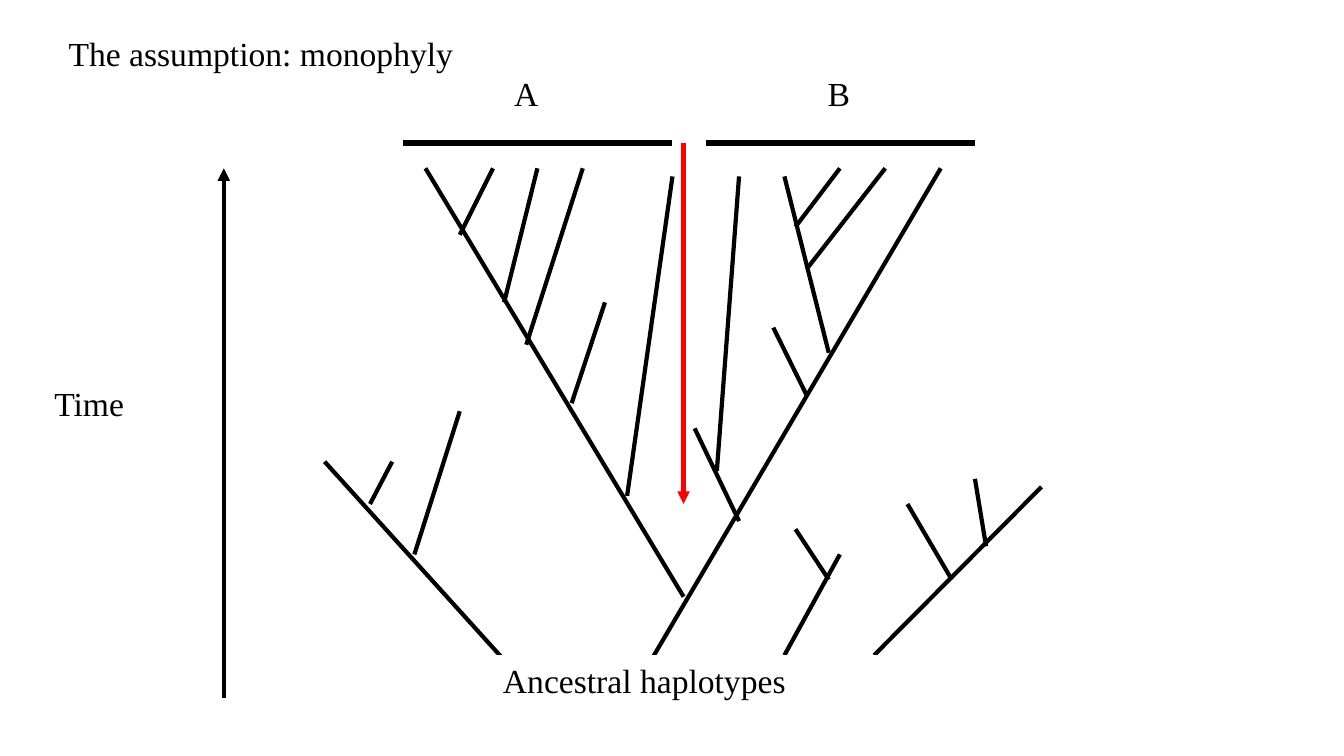
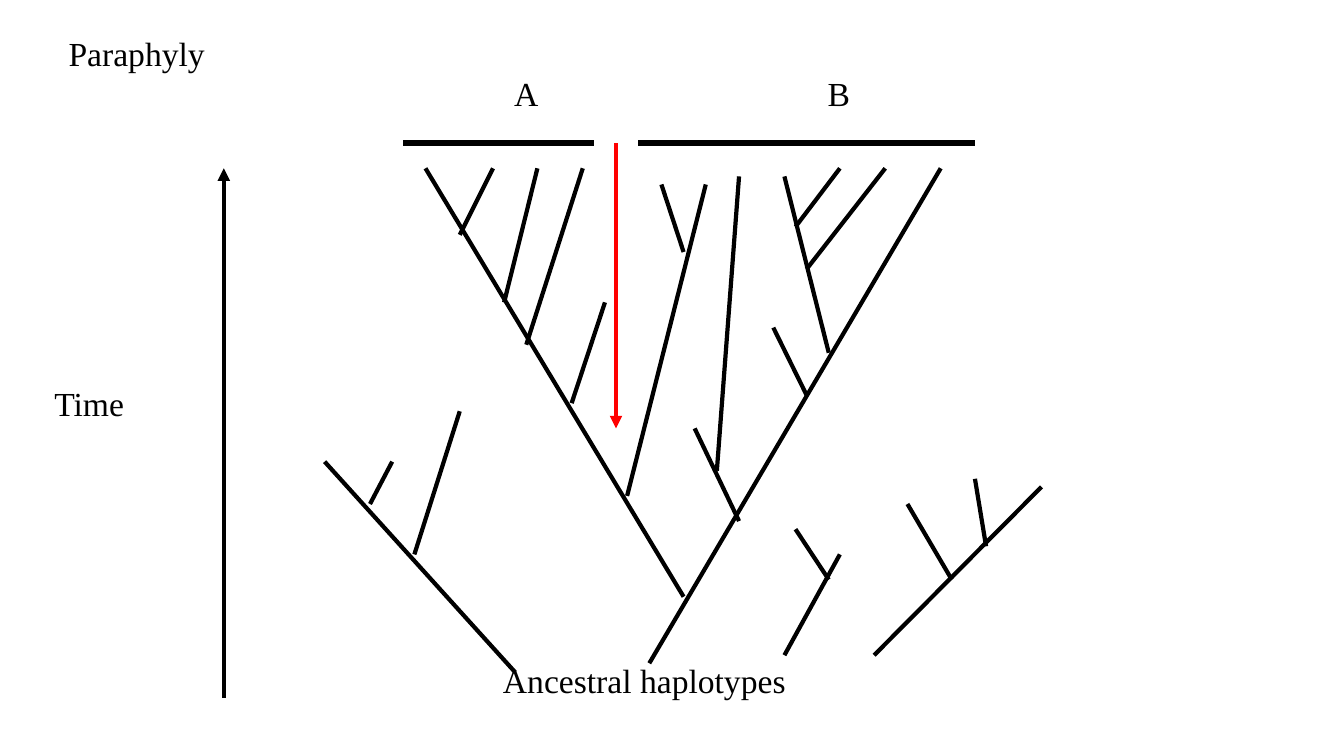
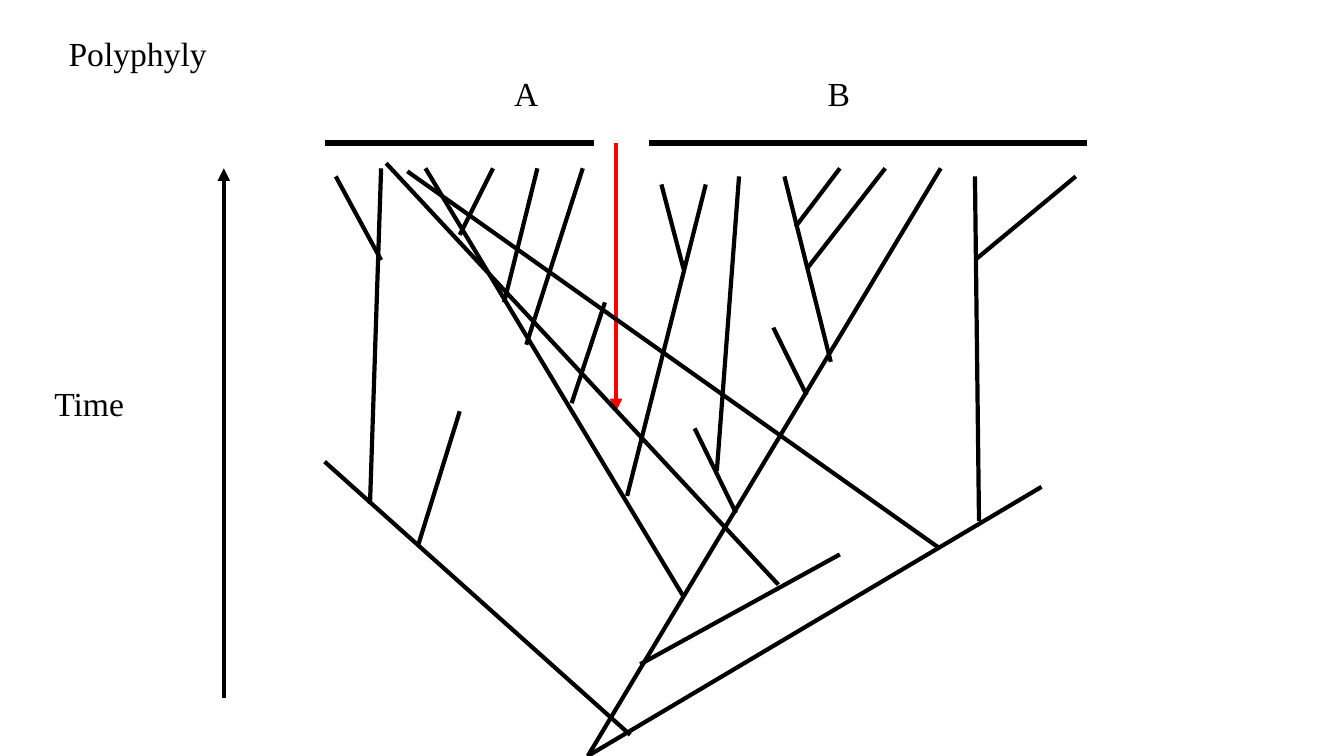
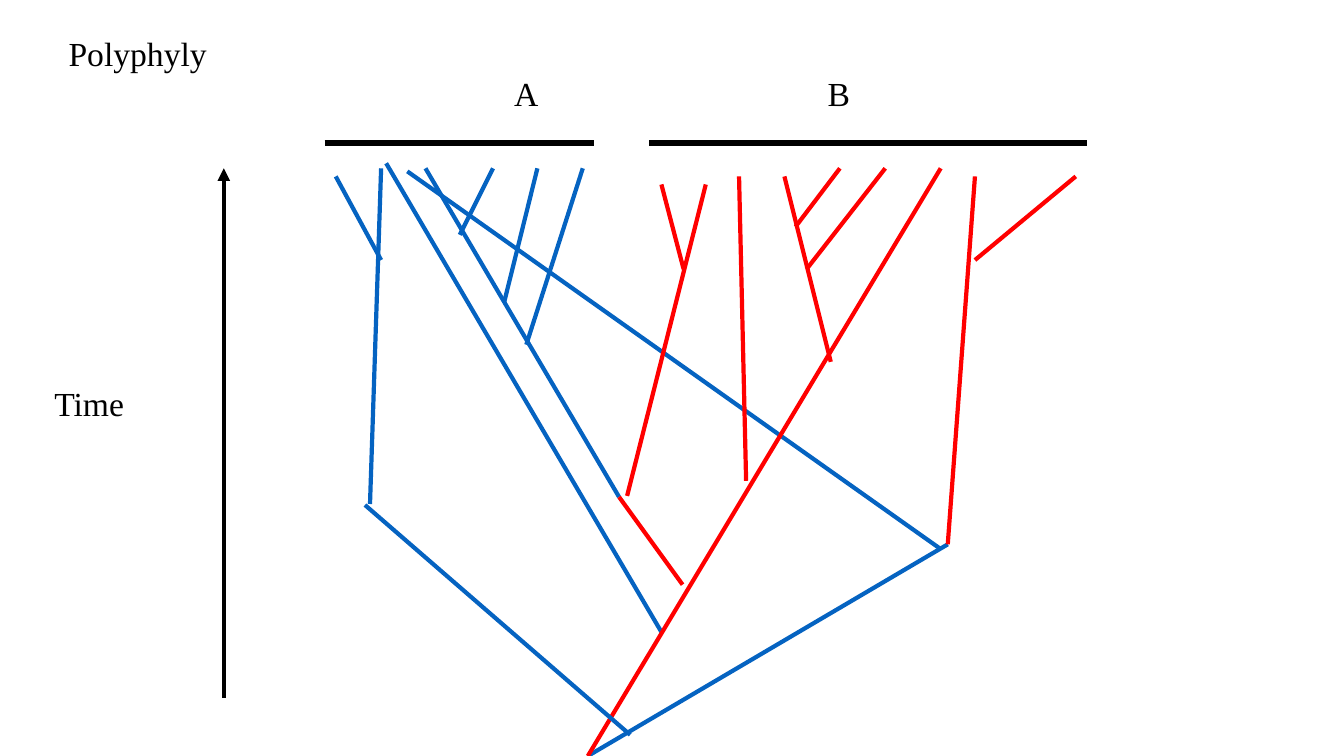
from dataclasses import dataclass

from lxml.etree import SubElement
from pptx import Presentation
from pptx.dml.color import RGBColor
from pptx.enum.shapes import MSO_CONNECTOR as Connector
from pptx.enum.text import MSO_ANCHOR as Anchor, MSO_AUTO_SIZE as AutoSize, PP_ALIGN as Align
from pptx.oxml.ns import qn
from pptx.util import Pt

PX = 9144
TITLE_ONLY = 5


@dataclass(frozen=True)
class Theme:
    font: str = "Times New Roman"
    text_size: int = 24
    branch_width: float = 3
    bar_width: float = 4.5
    black: RGBColor = RGBColor(0x00, 0x00, 0x00)
    white: RGBColor = RGBColor(0xFF, 0xFF, 0xFF)
    red: RGBColor = RGBColor(0xFF, 0x00, 0x00)
    blue: RGBColor = RGBColor(0x05, 0x63, 0xC1)


THEME = Theme()

SLIDE_SIZE = (1333, 750)
TITLE_BOX = (58, 28, 544, 50)
LABELS = [
    ("Time", (44, 375, 144, 50)),
    ("A", (500, 67, 67, 50)),
    ("B", (811, 67, 56, 50)),
]
CAPTION = ("Ancestral haplotypes", (489, 650, 400, 50))
TIME_ARROW = (222, 692, 222, 167)
BAR_TOP = 142

CROWN_A = [(522, 342, 578, 167), (500, 300, 533, 167), (456, 233, 489, 167)]
CROWN_B = [(789, 225, 833, 167), (800, 267, 878, 167)]
INNER = [
    (678, 592, 422, 167),
    (711, 467, 733, 175),
    (567, 400, 600, 300),
    (800, 392, 767, 325),
]
SEPARATE_ROOTS = [
    (867, 650, 1033, 483),
    (944, 575, 900, 500),
    (978, 542, 967, 475),
    (778, 650, 833, 550),
    (822, 575, 789, 525),
    (644, 658, 933, 167),
    (733, 517, 689, 425),
    (822, 350, 778, 175),
    (511, 667, 322, 458),
    (367, 500, 389, 458),
    (411, 550, 456, 408),
]
CROSSING = (622, 492, 700, 183)
MIXED_A = [(932, 544, 404, 170), (367, 500, 378, 167), (378, 258, 333, 175)]
MIXED_B = [
    CROSSING,
    (583, 750, 933, 167),
    (824, 359, 778, 175),
    (678, 267, 656, 183),
    (967, 258, 1067, 175),
]
SHARED_ROOT = [
    (583, 750, 1033, 483),
    (971, 517, 967, 175),
    (635, 659, 833, 550),
    (772, 580, 383, 162),
    (730, 509, 689, 425),
    (625, 729, 322, 458),
    (415, 540, 456, 408),
]
BLUE_ONLY = [(583, 750, 940, 540), (656, 627, 383, 162), (614, 493, 422, 167)]
RED_ONLY = [(940, 540, 967, 175), (740, 477, 733, 175), (614, 493, 677, 580)]
LEFT_ROOT = [(625, 729, 362, 501)]

EARLY_TREE = SEPARATE_ROOTS + INNER + CROWN_A + CROWN_B
MIXED_TREE = SHARED_ROOT + INNER + CROWN_A + CROWN_B + MIXED_A + MIXED_B

SLIDES = [
    {
        "title": "The assumption: monophyly",
        "bars": [(400, 667), (700, 967)],
        "split": (678, 500),
        "caption": "front",
        "trees": [(THEME.black, EARLY_TREE + [(622, 492, 667, 175)])],
    },
    {
        "title": "Paraphyly",
        "bars": [(400, 589), (633, 967)],
        "split": (611, 425),
        "caption": "back",
        "trees": [(THEME.black, EARLY_TREE + [CROSSING, (678, 250, 656, 183)])],
    },
    {
        "title": "Polyphyly",
        "bars": [(322, 589), (644, 1078)],
        "split": (611, 408),
        "trees": [(THEME.black, MIXED_TREE)],
    },
    {
        "title": "Polyphyly",
        "bars": [(322, 589), (644, 1078)],
        "trees": [
            (THEME.blue, BLUE_ONLY + CROWN_A + MIXED_A),
            (THEME.red, RED_ONLY + CROWN_B + MIXED_B),
            (THEME.blue, LEFT_ROOT),
        ],
    },
]


def emu(lengths):
    return [length * PX for length in lengths]


def write_text(shape, text):
    frame = shape.text_frame
    frame.word_wrap = True
    frame.auto_size = AutoSize.NONE
    frame.vertical_anchor = Anchor.TOP
    paragraph = frame.paragraphs[0]
    paragraph.text = text
    paragraph.alignment = Align.LEFT
    paragraph.font.name = THEME.font
    paragraph.font.size = Pt(THEME.text_size)
    paragraph.font.color.rgb = THEME.black


def add_title(slide, text):
    title = slide.shapes.title
    title.left, title.top, title.width, title.height = emu(TITLE_BOX)
    write_text(title, text)


def add_label(slide, text, box):
    label = slide.shapes.add_textbox(*emu(box))
    write_text(label, text)
    return label


def add_caption(slide):
    caption = add_label(slide, *CAPTION)
    caption.fill.solid()
    caption.fill.fore_color.rgb = THEME.white


def add_line(slide, ends, color=THEME.black, width=THEME.branch_width, arrow=False):
    connector = slide.shapes.add_connector(Connector.STRAIGHT, *emu(ends))
    connector.line.color.rgb = color
    connector.line.width = Pt(width)
    if arrow:
        SubElement(connector.line._get_or_add_ln(), qn("a:tailEnd"), type="triangle")
    SubElement(connector._element.spPr, qn("a:effectLst"))


def build_slide(presentation, content):
    slide = presentation.slides.add_slide(presentation.slide_layouts[TITLE_ONLY])
    add_title(slide, content["title"])
    add_line(slide, TIME_ARROW, arrow=True)
    for text, box in LABELS:
        add_label(slide, text, box)
    if "split" in content:
        x, bottom = content["split"]
        add_line(slide, (x, BAR_TOP, x, bottom), THEME.red, arrow=True)
    for left, right in content["bars"]:
        add_line(slide, (left, BAR_TOP, right, BAR_TOP), width=THEME.bar_width)
    if content.get("caption") == "back":
        add_caption(slide)
    for color, branches in content["trees"]:
        for ends in branches:
            add_line(slide, ends, color)
    if content.get("caption") == "front":
        add_caption(slide)


def main():
    presentation = Presentation()
    presentation.slide_width, presentation.slide_height = emu(SLIDE_SIZE)
    for content in SLIDES:
        build_slide(presentation, content)
    presentation.save("out.pptx")


if __name__ == "__main__":
    main()
